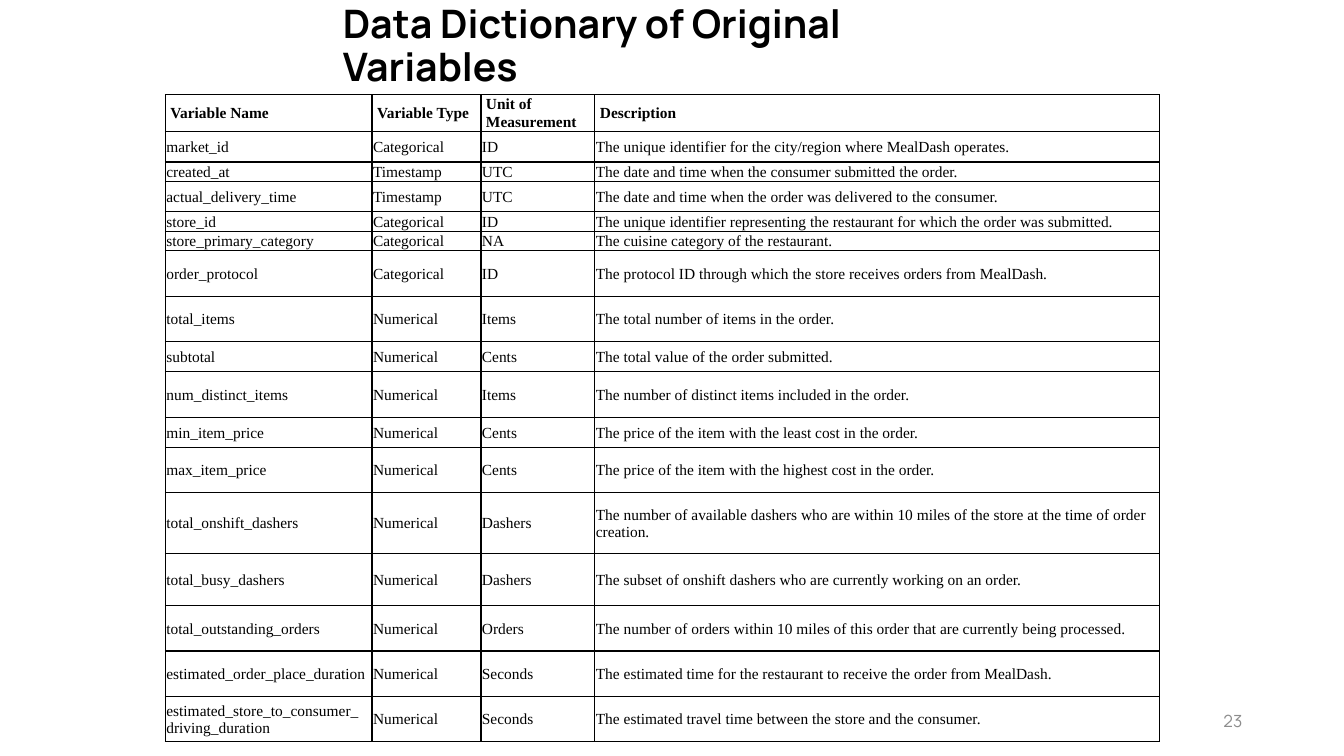
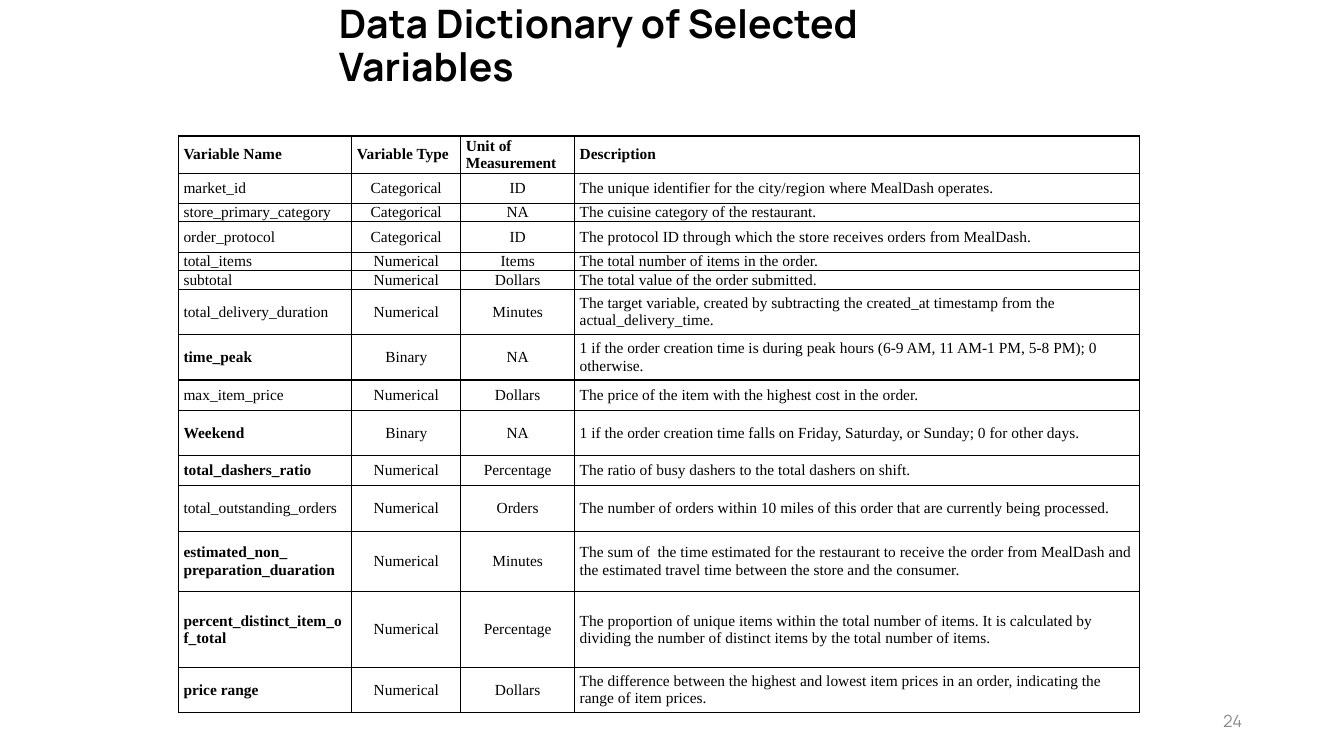
from lxml import etree
from pptx import Presentation
from pptx import util as u
from pptx.dml.color import RGBColor
from pptx.enum import text
from pptx.oxml import ns

BLACK, GREY = "000000", "8C8C8C"
TITLE_FONT = {"name": "Manrope", "size": u.Pt(28), "bold": True}
NUMBER_FONT = {"name": "Manrope", "size": u.Pt(12), "bold": False}
TABLE_FONT = {"name": "Times New Roman", "size": u.Pt(11)}
LEFT, CENTER, RIGHT = text.PP_ALIGN.LEFT, text.PP_ALIGN.CENTER, text.PP_ALIGN.RIGHT
ROOMY = {"margin_left": 0.05, "margin_top": 0, "margin_right": 0.05, "margin_bottom": 0}
TIGHT = {"margin_left": 0.01, "margin_top": 0.01, "margin_right": 0.01, "margin_bottom": 0}

HEADER_HEIGHT = 0.28
HEADER = ["Variable Name", "Variable Type", "Unit of Measurement", "Description"]
TYPE_WIDTHS = [1.08, 1.13, 5.6]

DESCRIPTIONS = {
    "market_id": "The unique identifier for the city/region where MealDash operates.",
    "created_at": "The date and time when the consumer submitted the order.",
    "actual_delivery_time": "The date and time when the order was delivered to the consumer.",
    "store_id": "The unique identifier representing the restaurant for which the order was submitted.",
    "store_primary_category": "The cuisine category of the restaurant.",
    "order_protocol": "The protocol ID through which the store receives orders from MealDash.",
    "total_items": "The total number of items in the order.",
    "subtotal": "The total value of the order submitted.",
    "num_distinct_items": "The number of distinct items included in the order.",
    "min_item_price": "The price of the item with the least cost in the order.",
    "max_item_price": "The price of the item with the highest cost in the order.",
    "total_onshift_dashers": "The number of available dashers who are within 10 miles of the store "
                             "at the time of order creation.",
    "total_busy_dashers": "The subset of onshift dashers who are currently working on an order.",
    "total_outstanding_orders": "The number of orders within 10 miles of this order that are "
                                "currently being processed.",
    "estimated_order_place_duration": "The estimated time for the restaurant to receive the order "
                                      "from MealDash.",
    "estimated_store_to_consumer_\ndriving_duration": "The estimated travel time between the store "
                                                      "and the consumer.",
    "total_delivery_duration": "The target variable, created by subtracting the created_at "
                               "timestamp from the actual_delivery_time.",
    "time_peak": "1 if the order creation time is during peak hours (6-9 AM, 11 AM-1 PM, 5-8 PM); "
                 "0 otherwise.",
    "Weekend": "1 if the order creation time falls on Friday, Saturday, or Sunday; 0 for other days.",
    "total_dashers_ratio": "The ratio of busy dashers to the total dashers on shift.",
    "estimated_non_\npreparation_duaration": "The sum of  the time estimated for the restaurant to "
                                             "receive the order from MealDash and the estimated "
                                             "travel time between the store and the consumer.",
    "percent_distinct_item_of_total": "The proportion of unique items within the total number of "
                                      "items. It is calculated by dividing the number of distinct "
                                      "items by the total number of items.",
    "price range": "The difference between the highest and lowest item prices in an order, "
                   "indicating the range of item prices.",
}

# Row height, variable name, type, unit
ORIGINAL_VARIABLES = [
    (0.3, "market_id", "Categorical", "ID"),
    (0.15, "created_at", "Timestamp", "UTC"),
    (0.3, "actual_delivery_time", "Timestamp", "UTC"),
    (0.15, "store_id", "Categorical", "ID"),
    (0.15, "store_primary_category", "Categorical", "NA"),
    (0.45, "order_protocol", "Categorical", "ID"),
    (0.45, "total_items", "Numerical", "Items"),
    (0.3, "subtotal", "Numerical", "Cents"),
    (0.45, "num_distinct_items", "Numerical", "Items"),
    (0.3, "min_item_price", "Numerical", "Cents"),
    (0.45, "max_item_price", "Numerical", "Cents"),
    (0.6, "total_onshift_dashers", "Numerical", "Dashers"),
    (0.52, "total_busy_dashers", "Numerical", "Dashers"),
    (0.45, "total_outstanding_orders", "Numerical", "Orders"),
    (0.45, "estimated_order_place_duration", "Numerical", "Seconds"),
    (0.45, "estimated_store_to_consumer_\ndriving_duration", "Numerical", "Seconds"),
]
SELECTED_VARIABLES = [
    (0.3, "market_id", "Categorical", "ID"),
    (0.15, "store_primary_category", "Categorical", "NA"),
    (0.3, "order_protocol", "Categorical", "ID"),
    (0.15, "total_items", "Numerical", "Items"),
    (0.15, "subtotal", "Numerical", "Dollars"),
    (0.45, "total_delivery_duration", "Numerical", "Minutes"),
    (0.45, "time_peak", "Binary", "NA"),
    (0.3, "max_item_price", "Numerical", "Dollars"),
    (0.45, "Weekend", "Binary", "NA"),
    (0.3, "total_dashers_ratio", "Numerical", "Percentage"),
    (0.45, "total_outstanding_orders", "Numerical", "Orders"),
    (0.6, "estimated_non_\npreparation_duaration", "Numerical", "Minutes"),
    (0.75, "percent_distinct_item_of_total", "Numerical", "Percentage"),
    (0.45, "price range", "Numerical", "Dollars"),
]
ENGINEERED = {"time_peak", "Weekend", "total_dashers_ratio", "price range",
              "estimated_non_\npreparation_duaration", "percent_distinct_item_of_total"}


def set_all(target, values):
    for name, value in values.items():
        setattr(target, name, value)


def write(frame, content, font, color=BLACK, align=LEFT):
    """Fill a text frame, one paragraph per line of content."""
    frame.text = content
    frame.word_wrap = True
    for para in frame.paragraphs:
        para.alignment = align
        set_all(para.font, font)
        para.font.color.rgb = RGBColor.from_string(color)


def place(shape, left, top, width, height):
    sizes = {"left": left, "top": top, "width": width, "height": height}
    set_all(shape, {name: u.Inches(size) for name, size in sizes.items()})


def add_title(page, content, left):
    title = page.shapes.title
    place(title, left, 0, 6.56, 0.57)
    write(title.text_frame, content, TITLE_FONT)
    title.text_frame.vertical_anchor = text.MSO_ANCHOR.TOP
    title.text_frame.auto_size = text.MSO_AUTO_SIZE.SHAPE_TO_FIT_TEXT
    title.text_frame.paragraphs[0].line_spacing = 0.9


def add_page_number(page, number):
    box = page.shapes.add_textbox(*map(u.Inches, (9.42, 6.95, 3, 0.4)))
    write(box.text_frame, str(number), NUMBER_FONT, GREY, RIGHT)
    box.text_frame.vertical_anchor = text.MSO_ANCHOR.MIDDLE


def add_borders(cell):
    """Draw a 1 pt black line on all four sides of a cell."""
    properties = cell._tc.get_or_add_tcPr()
    for position, side in enumerate(("lnL", "lnR", "lnT", "lnB")):
        line = etree.Element(ns.qn(f"a:{side}"), w=str(u.Pt(1)))
        fill = etree.SubElement(line, ns.qn("a:solidFill"))
        etree.SubElement(fill, ns.qn("a:srgbClr"), val=BLACK)
        properties.insert(position, line)


def format_cell(cell, content, margins, bold, align):
    write(cell.text_frame, content, {**TABLE_FONT, "bold": bold}, align=align)
    set_all(cell, {name: u.Inches(size) for name, size in margins.items()})
    cell.vertical_anchor = text.MSO_ANCHOR.MIDDLE
    cell.fill.background()
    add_borders(cell)


def add_dictionary(page, left, top, name_width, variables, margins, middle_align):
    """Add the variable table; middle_align applies to the type and unit columns."""
    widths = [name_width, *TYPE_WIDTHS]
    heights = [HEADER_HEIGHT, *(variable[0] for variable in variables)]
    frame = page.shapes.add_table(
        len(heights), len(widths),
        *map(u.Inches, (left, top, sum(widths), sum(heights))))
    table = frame.table
    set_all(table, {"first_row": False, "horz_banding": False})
    for column, width in zip(table.columns, widths):
        column.width = u.Inches(width)
    for row, height in zip(table.rows, heights):
        row.height = u.Inches(height)
    for column, label in enumerate(HEADER):
        format_cell(table.cell(0, column), label, ROOMY, True, LEFT)
    aligns = [LEFT, middle_align, middle_align, LEFT]
    for row, (_, name, kind, unit) in enumerate(variables, start=1):
        for column, content in enumerate((name, kind, unit, DESCRIPTIONS[name])):
            bold = column == 0 and name in ENGINEERED
            format_cell(table.cell(row, column), content, margins, bold, aligns[column])


def add_page(deck, title, title_left, number, **dictionary):
    page = deck.slides.add_slide(deck.slide_layouts[5])
    add_dictionary(page, **dictionary)
    add_title(page, title, title_left)
    add_page_number(page, number)


def main():
    deck = Presentation()
    deck.slide_width, deck.slide_height = u.Inches(13.33), u.Inches(7.5)
    add_page(deck, "Data Dictionary of Original Variables", 3.3, 23,
             left=1.64, top=0.94, name_width=2.05, variables=ORIGINAL_VARIABLES,
             margins=TIGHT, middle_align=LEFT)
    add_page(deck, "Data Dictionary of Selected Variables", 3.26, 24,
             left=1.77, top=1.35, name_width=1.72, variables=SELECTED_VARIABLES,
             margins=ROOMY, middle_align=CENTER)
    deck.save("out.pptx")


if __name__ == "__main__":
    main()
